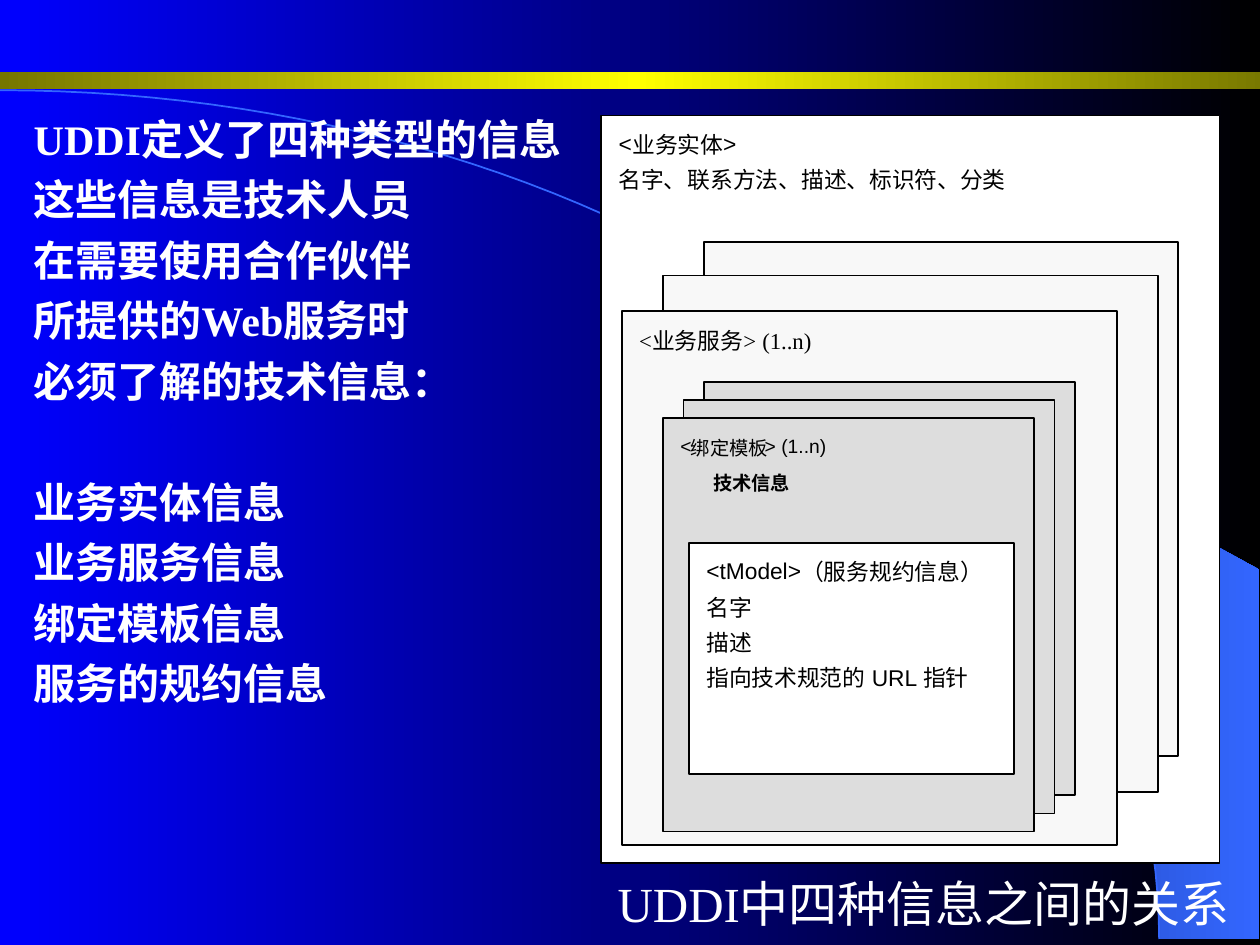
from copy import deepcopy
from math import asin, cos, pi, sin

from pptx import Presentation
from pptx.dml.color import RGBColor
from pptx.enum.shapes import MSO_SHAPE
from pptx.enum.text import MSO_ANCHOR, MSO_AUTO_SIZE, PP_ALIGN
from pptx.oxml.ns import qn
from pptx.util import Pt

RECTANGLE = MSO_SHAPE.RECTANGLE
MIDDLE = MSO_ANCHOR.MIDDLE
TOP = MSO_ANCHOR.TOP
GROW = MSO_AUTO_SIZE.SHAPE_TO_FIT_TEXT
LEFT = PP_ALIGN.LEFT
CENTER = PP_ALIGN.CENTER

SERIF = "Times New Roman"
SANS = "Arial"
HAN = "Noto Sans CJK SC"


def color(value):
    return RGBColor.from_string(value)


class Painter:
    ink = "000000"
    light = "FFFFFF"
    accent = "3366FF"
    line_width = 1
    slack = 1.5

    def __init__(self, page):
        self.page = page

    def gradient(self, owner, fill, *shades):
        """Spread the shades evenly from left to right."""
        fill.gradient()
        fill.gradient_angle = 0
        stop_list = next(owner.iter(qn("a:gsLst")))
        for _ in shades[2:]:
            stop_list.append(deepcopy(stop_list[-1]))
        for index, (stop, shade) in enumerate(zip(fill.gradient_stops, shades)):
            stop.color.rgb = color(shade)
            stop.position = index / (len(shades) - 1)

    def background(self, *shades):
        self.gradient(self.page._element, self.page.background.fill, *shades)

    def outline(self, shape, shade):
        shape.line.color.rgb = color(shade)
        shape.line.width = Pt(self.line_width)

    def band(self, left, top, width, height, *shades):
        shape = self.page.shapes.add_shape(
            RECTANGLE, Pt(left), Pt(top), Pt(width), Pt(height))
        shape.shadow.inherit = False
        shape.line.fill.background()
        self.gradient(shape._element, shape.fill, *shades)

    def card(self, left, top, width, height, shade):
        shape = self.page.shapes.add_shape(
            RECTANGLE, Pt(left), Pt(top), Pt(width), Pt(height))
        shape.shadow.inherit = False
        shape.fill.solid()
        shape.fill.fore_color.rgb = color(shade)
        self.outline(shape, self.ink)

    def freeform(self, points, closed):
        corners = [(Pt(x), Pt(y)) for x, y in points]
        builder = self.page.shapes.build_freeform(*corners[0])
        builder.add_line_segments(corners[1:], close=closed)
        shape = builder.convert_to_shape()
        shape.shadow.inherit = False
        return shape

    def curve(self, points):
        shape = self.freeform(points, False)
        shape.fill.background()
        self.outline(shape, self.accent)

    def wing(self, points, *shades):
        shape = self.freeform(points, True)
        shape.line.fill.background()
        self.gradient(shape._element, shape.fill, *shades)

    def text(self, left, top, width, height, lines, size, font, shade,
             bold=False, align=LEFT, anchor=TOP, margins=(0, 0), spacing=1):
        box = self.page.shapes.add_textbox(
            Pt(left), Pt(top), Pt(width), Pt(height))
        frame = box.text_frame
        frame.text = "\n".join(lines)
        frame.word_wrap = False
        frame.auto_size = GROW
        frame.vertical_anchor = anchor
        frame.margin_left = frame.margin_right = Pt(margins[0])
        frame.margin_top = frame.margin_bottom = Pt(margins[1])
        for para in frame.paragraphs:
            para.alignment = align
            para.line_spacing = spacing
            for span in para.runs:
                span.font.size = Pt(size)
                span.font.bold = bold
                span.font.name = font
                span.font.color.rgb = color(shade)
                east_asian = span.font._element.makeelement(
                    qn("a:ea"), {"typeface": HAN})
                span.font._element.find(qn("a:latin")).addnext(east_asian)
        return frame

    def label(self, left, top, words, font=HAN, width=None, size=13, bold=False):
        """A Han character is as wide as its size, so its width needs no value."""
        width = (width or len(words) * size) + self.slack
        self.text(left, top, width, size * 1.2, [words], size, font, self.ink, bold)


def arc(start, steps):
    """Points on the quarter ellipse, from an angle to its right end."""
    angles = [start + (pi / 2 - start) * i / steps for i in range(steps + 1)]
    return [(662.4 * sin(a), 536.6 - 485 * cos(a)) for a in angles]


def main():
    deck = Presentation()
    deck.slide_width, deck.slide_height = Pt(720), Pt(540)
    painter = Painter(deck.slides.add_slide(deck.slide_layouts[6]))

    # Backdrop
    painter.background("0000FF", "000000")
    right_corners = [(719.3, 536.6), (719.3, 325.4)]
    painter.wing(arc(asin(0.64), 24) + right_corners, "182F76", painter.accent)
    painter.curve(arc(0, 60))
    painter.band(0, 41, 728, 10.1, "767600", "FFFF00", "767600")

    # Caption and statement
    painter.text(340.7, 495.4, 374, 41, ["UDDI中四种信息之间的关系"], 28, SERIF,
                 painter.light, align=CENTER, anchor=MIDDLE, margins=(7.2, 3.6))
    statement = painter.text(
        12.2, 55.4, 325, 352.8,
        ["UDDI定义了四种类型的信息", "这些信息是技术人员", "在需要使用合作伙伴",
         "所提供的Web服务时", "必须了解的技术信息：",
         "业务实体信息", "业务服务信息", "绑定模板信息", "服务的规约信息"],
        24, SERIF, painter.light, bold=True, margins=(7.2, 3.6), spacing=1.2)
    statement.paragraphs[5].space_before = Pt(34.6)

    # Business entity
    painter.card(343.4, 66, 353.5, 427, "FFFFFF")
    painter.label(353.5, 74.2, "<", SANS, 7.9)
    painter.label(361.4, 74.9, "业务实体")
    painter.label(413.3, 74.2, ">", SANS, 7.9)
    painter.label(353.5, 95, "名字")
    painter.label(379.4, 95, "、")
    painter.label(393.1, 95, "联系方法、描述、标识符、分类")

    # Business services
    for place in [(402.5, 138.2, 270.7, 293.8), (378.7, 157.5, 283, 295.2),
                  (355.5, 177.8, 283, 305.3)]:
        painter.card(*place, "F8F8F8")
    painter.label(365.2, 186.5, "<", SERIF, 7.2)
    painter.label(372.7, 186.5, "业务服务")
    painter.label(424.8, 186.5, ">", SERIF, 10.8)
    painter.label(435.6, 186.5, "(1..n)", SERIF, 28.1)

    # Binding templates
    for step in range(3):
        painter.card(402.5 - 11.9 * step, 218.2 + 10.4 * step, 212, 236.2, "DDDDDD")
    painter.label(388.8, 248.4, "<", SANS, 6.5, 11)
    painter.label(394.8, 249.1, "绑定模板", size=11)
    painter.label(437, 248.4, "> (1..n)", SANS, 35.3, 11)
    painter.label(407.5, 269.3, "技术信息", size=11, bold=True)

    # Service specification
    painter.card(393.8, 310.2, 185.6, 132.2, "FFFFFF")
    painter.label(403.7, 318.2, "<tModel>", SANS, 54)
    painter.label(457.9, 319, "（服务规约信息）")
    for row, words in enumerate(["名字", "描述", "指向技术规范的"]):
        painter.label(403.7, 339.1 + 20.2 * row, words)
    painter.label(498.2, 379.5, "URL", SANS, 25.9)
    painter.label(527.6, 379.5, "指针")

    deck.save("out.pptx")


if __name__ == "__main__":
    main()
